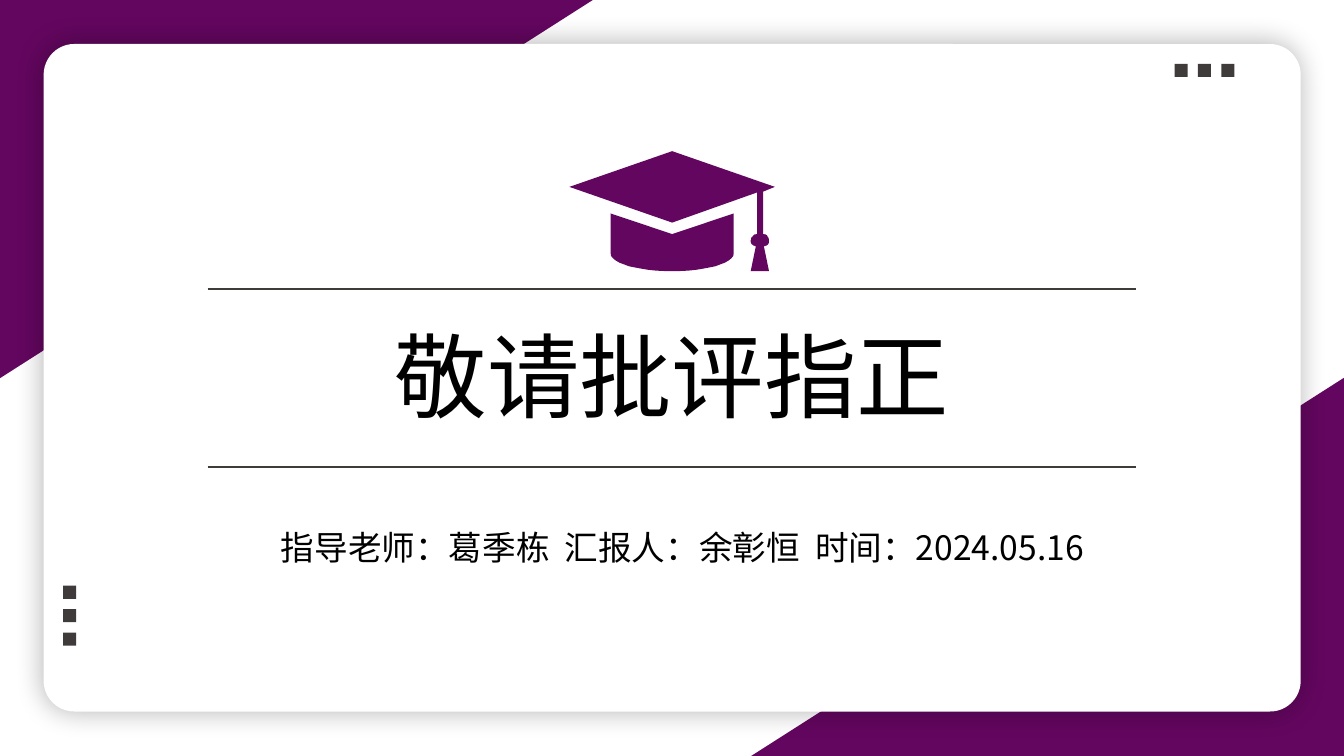
"""Build the closing slide of a thesis defence deck."""
from lxml.etree import SubElement
from pptx import Presentation
from pptx.dml.color import RGBColor
from pptx.enum.shapes import MSO_CONNECTOR, MSO_SHAPE
from pptx.enum.text import MSO_ANCHOR, MSO_AUTO_SIZE, PP_ALIGN
from pptx.oxml.ns import qn
from pptx.util import Cm, Pt

PURPLE = RGBColor(0x63, 0x06, 0x5F)
GREY = RGBColor(0x3F, 0x3B, 0x3A)
WHITE = RGBColor(0xFF, 0xFF, 0xFF)
BLACK = RGBColor(0x00, 0x00, 0x00)
FONT = "Noto Sans CJK SC"

STRAIGHT = MSO_CONNECTOR.STRAIGHT
RECT, ROUND_RECT = MSO_SHAPE.RECTANGLE, MSO_SHAPE.ROUNDED_RECTANGLE
TRIANGLE = MSO_SHAPE.RIGHT_TRIANGLE
MIDDLE, NO_AUTOFIT = MSO_ANCHOR.MIDDLE, MSO_AUTO_SIZE.NONE
CENTER = PP_ALIGN.CENTER

SLIDE_W, SLIDE_H = 33.87, 19.05
CORNER_W, CORNER_H = 14.94, 9.53
DOT, DOT_STEP = 0.33, 0.59


def curve(p0, p1, p2, p3, steps=12):
    """Return points along a cubic Bezier curve."""
    points = []
    for i in range(steps + 1):
        t = i / steps
        u = 1 - t
        points.append(tuple(
            u**3 * a + 3 * u * u * t * b + 3 * u * t * t * c + t**3 * d
            for a, b, c, d in zip(p0, p1, p2, p3)))
    return points


class SlideBuilder:
    """Hold the style and the current slide."""

    def __init__(self, prs):
        """Add a title slide to the presentation."""
        self.s = prs.slides.add_slide(prs.slide_layouts[0])

    def paint(self, sp, color):
        """Give a shape a plain fill without line or shadow."""
        sp.fill.solid()
        sp.fill.fore_color.rgb = color
        sp.line.fill.background()
        sp.shadow.inherit = False

    def shape(self, kind, x, y, w, h, color):
        """Add a filled preset shape."""
        sp = self.s.shapes.add_shape(kind, Cm(x), Cm(y), Cm(w), Cm(h))
        self.paint(sp, color)
        return sp

    def corner(self, cx, cy, rotation):
        """Add a right triangle turned about its centre."""
        sp = self.shape(TRIANGLE, cx - CORNER_H / 2, cy - CORNER_W / 2,
                        CORNER_H, CORNER_W, PURPLE)
        sp.rotation = rotation

    def card(self, x, y, w, h):
        """Add the rounded white panel with a soft shadow."""
        sp = self.shape(ROUND_RECT, x, y, w, h, WHITE)
        sp.adjustments[0] = 0.046
        effects = sp._element.spPr.find(qn("a:effectLst"))
        shadow = SubElement(effects, qn("a:outerShdw"), blurRad=str(Pt(20)),
                            dist="0", dir="0", algn="ctr", rotWithShape="0")
        tint = SubElement(shadow, qn("a:srgbClr"), val=str(BLACK))
        SubElement(tint, qn("a:alpha"), val="30000")

    def rule(self, x1, x2, y):
        """Add a horizontal line."""
        line = self.s.shapes.add_connector(STRAIGHT, Cm(x1), Cm(y), Cm(x2), Cm(y))
        line.line.color.rgb = GREY
        line.line.width = Pt(1.25)
        SubElement(line._element.spPr, qn("a:effectLst"))

    def dots(self, x, y, dx, dy):
        """Add a row or column of three small squares."""
        for i in range(3):
            self.shape(RECT, x + i * dx, y + i * dy, DOT, DOT, GREY)

    def outline(self, contours, color):
        """Add a freeform from contours in hundredths of a centimetre."""
        first, *others = contours
        builder = self.s.shapes.build_freeform(*first[0], scale=Cm(0.01))
        builder.add_line_segments(first[1:])
        for contour in others:
            builder.move_to(*contour[0])
            builder.add_line_segments(contour[1:])
        self.paint(builder.convert_to_shape(), color)

    def text(self, sp, parts, box, size):
        """Move a placeholder to the front and fill it with spaced parts."""
        self.s.shapes._spTree.append(sp._element)
        sp.left, sp.top, sp.width, sp.height = (Cm(v) for v in box)
        tf = sp.text_frame
        tf.word_wrap = True
        tf.auto_size = NO_AUTOFIT
        tf.vertical_anchor = MIDDLE
        p = tf.paragraphs[0]
        for i, part in enumerate(parts):
            if i:
                gap = p.add_run()
                gap.text = " "
                gap.font._rPr.set("spc", "540")
            p.add_run().text = part
        p.alignment = CENTER
        p.space_before = Pt(0)
        p.font.name = FONT
        p.font.size = Pt(size)
        p.font.color.rgb = BLACK
        SubElement(p.font._rPr, qn("a:ea"), typeface=FONT)


def main():
    """Build and save the slide."""
    prs = Presentation()
    prs.slide_width, prs.slide_height = Cm(SLIDE_W), Cm(SLIDE_H)
    slide = SlideBuilder(prs)
    title, subtitle = slide.s.placeholders

    slide.corner(CORNER_W / 2, CORNER_H / 2, 90)
    slide.corner(SLIDE_W - CORNER_W / 2, SLIDE_H - CORNER_H / 2, 270)
    slide.card(1.1, 1.11, 31.68, 16.82)
    for y in (7.29, 11.76):
        slide.rule(5.23, 28.63, y)
    slide.text(title, ["敬请批评指正"], (4.78, 7.9, 24.31, 3.07), 66)

    board_and_tassel = [
        (1923, 483), (1953, 471), (1694, 381), (1435, 471), (1694, 561), (1908, 485),
        *curve((1908, 590), (1900, 590), (1892, 597), (1892, 608)),
        *curve((1892, 608), (1892, 616), (1900, 620), (1905, 620)),
        (1892, 683), (1938, 683),
        *curve((1925, 620), (1933, 620), (1938, 616), (1938, 608)),
        *curve((1938, 608), (1938, 597), (1933, 590), (1923, 590)),
    ]
    cap = [
        (1694, 590), (1539, 538),
        *curve((1539, 638), (1539, 665), (1610, 683), (1694, 683)),
        *curve((1694, 683), (1778, 683), (1849, 665), (1849, 638)),
        (1849, 538),
    ]
    slide.outline([board_and_tassel, cap], PURPLE)

    slide.dots(29.6, 1.61, DOT_STEP, 0)
    slide.dots(1.59, 14.76, 0, DOT_STEP)
    slide.text(subtitle, ["指导老师：葛季栋", "汇报人：余彰恒", "时间：2024.05.16"],
               (5.23, 13.16, 23.93, 1.27), 24)
    prs.save("out.pptx")


if __name__ == "__main__":
    main()
